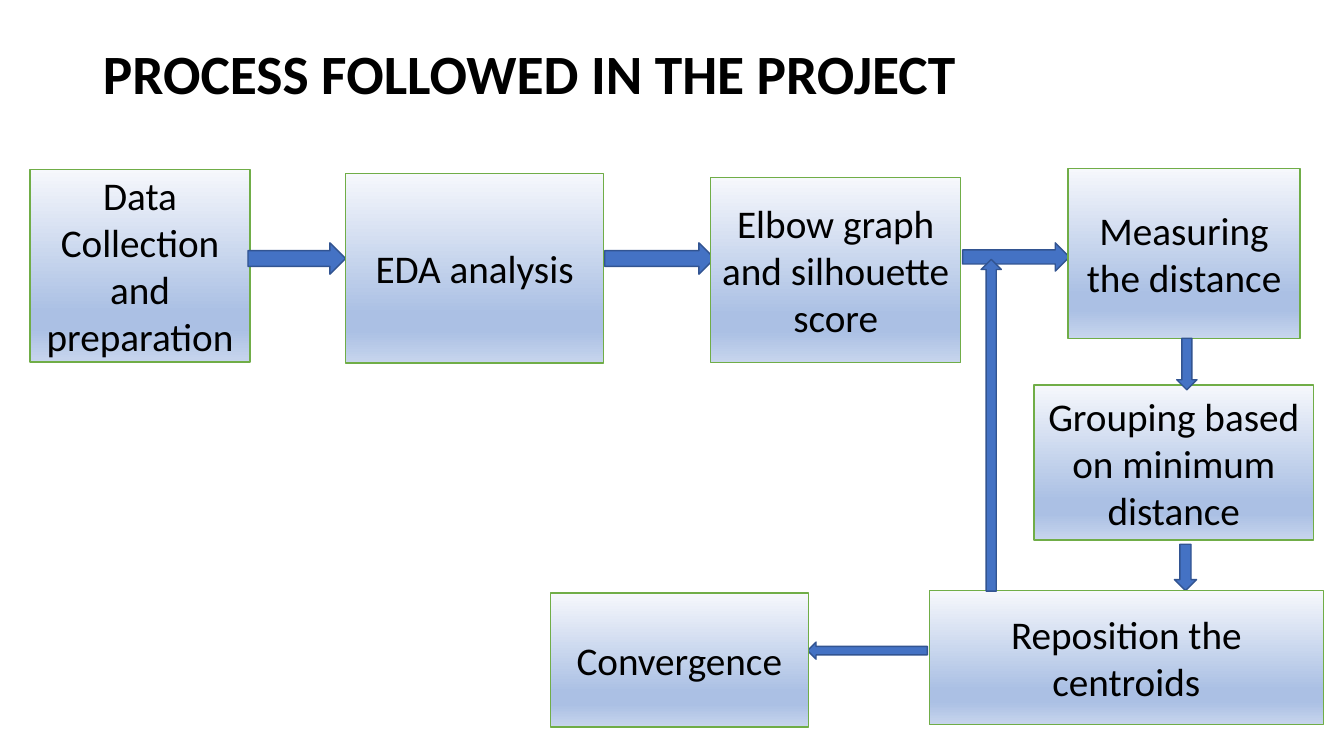
"""Build the project process flow slide."""
import copy
from dataclasses import dataclass

import pptx
import pptx.dml.color
import pptx.enum.shapes
import pptx.enum.text
import pptx.oxml.ns
import pptx.util

Cm, Pt = pptx.util.Cm, pptx.util.Pt
RGB = pptx.dml.color.RGBColor.from_string
SHAPE = pptx.enum.shapes.MSO_SHAPE
ALIGN = pptx.enum.text.PP_ALIGN
MIDDLE = pptx.enum.text.MSO_ANCHOR.MIDDLE


@dataclass(frozen=True)
class Theme:
    """Colours and type sizes of the slide."""
    font: str = "Calibri"
    ink: str = "000000"
    step_line: str = "70AD47"
    step_stops: tuple = ((0, "F6F8FC"), (0.74, "ABC0E4"), (0.83, "ABC0E4"), (1, "C7D5ED"))
    arrow_fill: str = "4472C4"
    arrow_line: str = "325491"
    title_size: float = 39.6
    step_size: int = 28


class FlowSlide:
    """Draws the parts of a process flow on one slide."""

    def __init__(self, slide, theme):
        self.slide = slide
        self.theme = theme

    def label(self, frame, text, size, align, bold=False):
        """Fill a text frame with one paragraph."""
        frame.text = text
        frame.word_wrap = True
        frame.vertical_anchor = MIDDLE
        paragraph = frame.paragraphs[0]
        paragraph.alignment = align
        font = paragraph.font
        font.name, font.size, font.bold = self.theme.font, Pt(size), bold
        font.color.rgb = RGB(self.theme.ink)
        return paragraph

    def title(self, text, left, top, width, height):
        """Place and format the title placeholder."""
        heading = self.slide.shapes.title
        heading.left, heading.top = Cm(left), Cm(top)
        heading.width, heading.height = Cm(width), Cm(height)
        line = self.label(heading.text_frame, text, self.theme.title_size, ALIGN.LEFT, True)
        line.line_spacing = 0.9
        heading.text_frame.auto_size = pptx.enum.text.MSO_AUTO_SIZE.NONE

    def block(self, preset, place, line_colour):
        """Add an outlined preset shape without shadow."""
        block = self.slide.shapes.add_shape(preset, *map(Cm, place))
        block.shadow.inherit = False
        block.line.color.rgb = RGB(line_colour)
        block.line.width = Pt(1)
        return block

    def step(self, text, *place):
        """Add a process step with a vertical gradient."""
        step = self.block(SHAPE.RECTANGLE, place, self.theme.step_line)
        step.fill.gradient()
        step.fill.gradient_angle = 270
        stop_list = next(step.element.spPr.iter(pptx.oxml.ns.qn("a:gsLst")))
        while len(stop_list) < len(self.theme.step_stops):
            stop_list.append(copy.deepcopy(stop_list[0]))
        for stop, (position, colour) in zip(step.fill.gradient_stops, self.theme.step_stops):
            stop.position = position
            stop.color.rgb = RGB(colour)
        self.label(step.text_frame, text, self.theme.step_size, ALIGN.CENTER)

    def arrow(self, *place, rotation=0):
        """Add a block arrow, turned clockwise by rotation degrees."""
        arrow = self.block(SHAPE.RIGHT_ARROW, place, self.theme.arrow_line)
        arrow.fill.solid()
        arrow.fill.fore_color.rgb = RGB(self.theme.arrow_fill)
        arrow.rotation = rotation


def main():
    """Build and save the presentation."""
    deck = pptx.Presentation()
    deck.slide_width, deck.slide_height = Cm(33.87), Cm(19.05)
    flow = FlowSlide(deck.slides.add_slide(deck.slide_layouts[5]), Theme())

    flow.title("PROCESS FOLLOWED IN THE PROJECT", 2.34, 1.02, 29.21, 1.83)
    flow.step("Data Collection and preparation", 0.76, 4.27, 5.54, 4.85)
    flow.arrow(6.25, 6.12, 2.46, 0.79)
    flow.step("EDA analysis", 8.71, 4.37, 6.5, 4.78)
    flow.arrow(15.24, 6.12, 2.77, 0.79)
    flow.step("Elbow graph and silhouette score", 17.91, 4.47, 6.3, 4.67)
    flow.arrow(24.26, 6.12, 2.69, 0.71)
    flow.step("Measuring the distance", 26.92, 4.24, 5.84, 4.29)
    flow.step("Grouping based on minimum distance", 26.06, 9.7, 7.04, 3.91)
    flow.arrow(29.29, 14.02, 1.17, 0.56, rotation=90)
    flow.step("Reposition the centroids", 23.42, 14.88, 9.93, 3.38)
    flow.arrow(20.35, 16.18, 3.02, 0.43, rotation=180)
    flow.step("Convergence", 13.87, 14.94, 6.5, 3.38)
    flow.arrow(20.8, 10.46, 8.36, 0.51, rotation=270)
    flow.arrow(29.26, 8.92, 1.3, 0.51, rotation=90)

    deck.save("out.pptx")


if __name__ == "__main__":
    main()
